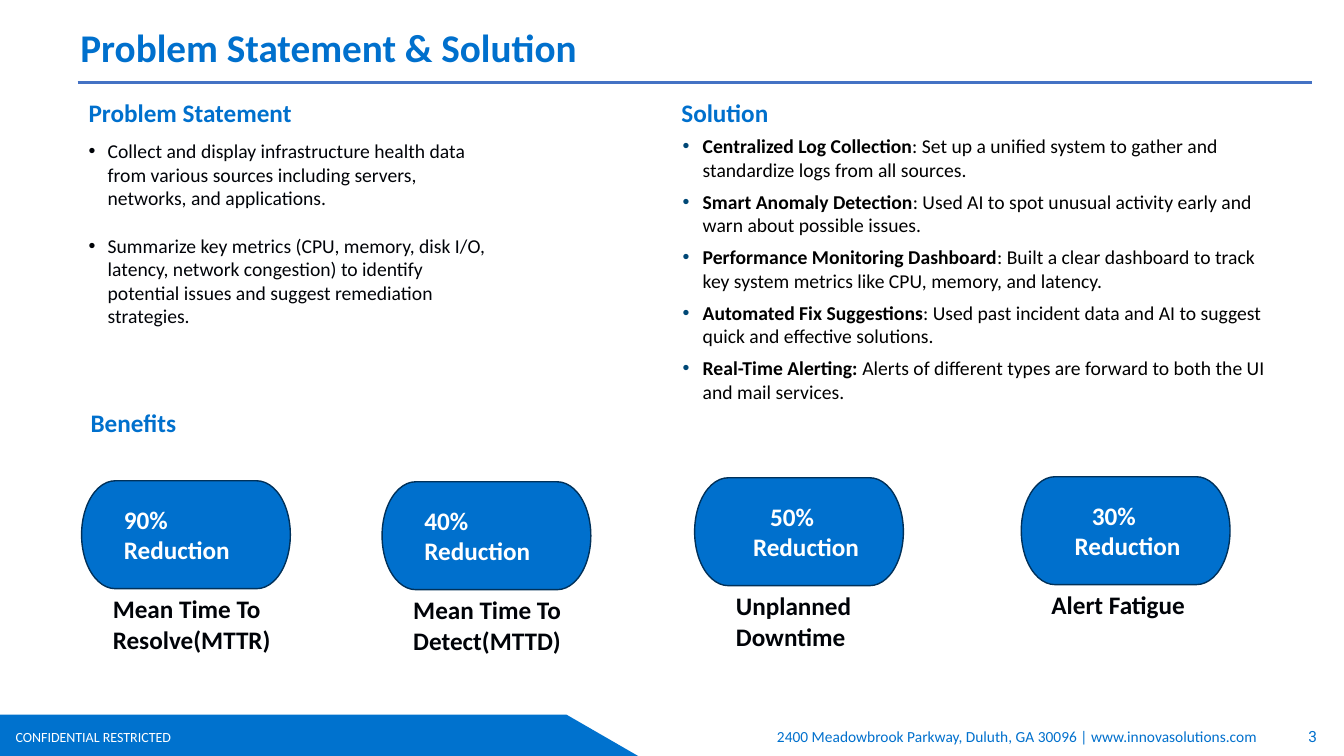
from dataclasses import dataclass

from lxml.etree import SubElement
from pptx import Presentation
from pptx.dml.color import RGBColor
from pptx.enum.shapes import MSO_CONNECTOR, MSO_SHAPE
from pptx.enum.text import MSO_ANCHOR, PP_ALIGN
from pptx.oxml.ns import qn
from pptx.slide import Slide
from pptx.text.text import TextFrame, _Paragraph, _Run
from pptx.util import Inches, Pt


@dataclass(frozen=True)
class Theme:
    font: str = "Calibri"
    number_font: str = "Roboto"
    blue: str = "0070CD"
    banner: str = "0072CE"
    outline: str = "00315A"
    rule: str = "4472C4"
    bullet: str = "004876"
    ink: str = "000308"
    black: str = "000000"
    white: str = "FFFFFF"
    title: int = 28
    heading: int = 18
    body: int = 14
    footer: int = 11
    notice: int = 10


THEME = Theme()


@dataclass(frozen=True)
class Box:
    left: float
    top: float
    width: float
    height: float


@dataclass(frozen=True)
class Style:
    size: int
    color: str
    bold: bool = False
    font: str = THEME.font
    align: PP_ALIGN = PP_ALIGN.LEFT


@dataclass(frozen=True)
class Label:
    text: str
    box: Box
    style: Style


@dataclass(frozen=True)
class Benefit:
    value: str
    caption: str
    left: float
    top: float
    value_offset: float
    caption_offset: float
    value_indent: float = 0


@dataclass(frozen=True)
class Feature:
    name: str
    description: str


HEADING = Style(THEME.heading, THEME.blue, True)
CAPTION = Style(THEME.heading, THEME.ink, True)
VALUE = Style(THEME.heading, THEME.white, True)
BODY = Style(THEME.body, THEME.ink)
FEATURE_NAME = Style(THEME.body, THEME.black, True)
FEATURE_TEXT = Style(THEME.body, THEME.black)

LABELS = [
    Label("2400 Meadowbrook Parkway, Duluth, GA 30096 | www.innovasolutions.com",
          Box(7.22, 7.16, 5.35, 0.29),
          Style(THEME.footer, THEME.blue, align=PP_ALIGN.RIGHT)),
    Label("CONFIDENTIAL RESTRICTED", Box(0.03, 7.18, 1.79, 0.27),
          Style(THEME.notice, THEME.white, align=PP_ALIGN.CENTER)),
    Label("Problem Statement & Solution", Box(0.7, 0.18, 6.67, 0.57),
          Style(THEME.title, THEME.blue, True)),
    Label("Problem Statement", Box(0.78, 0.92, 3, 0.4), HEADING),
    Label("Solution", Box(6.66, 0.92, 3, 0.4), HEADING),
    Label("Benefits", Box(0.8, 3.99, 1.3, 0.4), HEADING),
]
PROBLEMS = [
    "Collect and display infrastructure health data from various sources "
    "including servers, networks, and applications.",
    "Summarize key metrics (CPU, memory, disk I/O, latency, network congestion) "
    "to identify potential issues and suggest remediation strategies.",
]
FEATURES = [
    Feature("Centralized Log Collection",
            ": Set up a unified system to gather and standardize logs from all sources."),
    Feature("Smart Anomaly Detection",
            ": Used AI to spot unusual activity early and warn about possible issues."),
    Feature("Performance Monitoring Dashboard",
            ": Built a clear dashboard to track key system metrics like CPU, memory, and latency."),
    Feature("Automated Fix Suggestions",
            ": Used past incident data and AI to suggest quick and effective solutions."),
    Feature("Real-Time Alerting: ",
            "Alerts of different types are forward to both the UI and mail services."),
]
BENEFITS = [
    Benefit("90%", "Mean Time To Resolve(MTTR)", 0.81, 4.77, 0.32, 0.21),
    Benefit("40%", "Mean Time To Detect(MTTD)", 3.79, 4.78, 0.32, 0.21),
    Benefit("50%", "Unplanned Downtime", 6.89, 4.74, 0.48, 0.31, 0.17),
    Benefit("30%", "Alert Fatigue", 10.13, 4.73, 0.43, 0.2, 0.17),
]


def color(value: str) -> RGBColor:
    return RGBColor.from_string(value)


def format_run(run: _Run, style: Style) -> None:
    run.font.name = style.font
    run.font.size = Pt(style.size)
    run.font.bold = style.bold
    run.font.color.rgb = color(style.color)


def add_text(slide: Slide, text: str, box: Box, style: Style) -> TextFrame:
    shape = slide.shapes.add_textbox(
        Inches(box.left), Inches(box.top), Inches(box.width), Inches(box.height))
    text_frame = shape.text_frame
    text_frame.word_wrap = True
    text_frame.text = text
    for paragraph in text_frame.paragraphs:
        paragraph.alignment = style.align
        for run in paragraph.runs:
            format_run(run, style)
    return text_frame


def add_bullet(paragraph: _Paragraph, indent: float, bullet_color: str) -> None:
    properties = paragraph._p.get_or_add_pPr()
    properties.set("marL", str(Inches(indent)))
    properties.set("indent", str(-Inches(indent)))
    holder = SubElement(properties, qn("a:buClr"))
    SubElement(holder, qn("a:srgbClr")).set("val", bullet_color)
    SubElement(properties, qn("a:buFont")).set("typeface", "Arial")
    SubElement(properties, qn("a:buChar")).set("char", "•")


def add_banner(slide: Slide) -> None:
    builder = slide.shapes.build_freeform(Inches(6.33), Inches(7.5))
    corners = [(0, 7.5), (0, 7.09), (5.62, 7.09)]
    builder.add_line_segments([(Inches(x), Inches(y)) for x, y in corners])
    banner = builder.convert_to_shape()
    banner.shadow.inherit = False
    banner.fill.solid()
    banner.fill.fore_color.rgb = color(THEME.banner)
    banner.line.fill.background()


def add_title_rule(slide: Slide) -> None:
    rule = slide.shapes.add_connector(
        MSO_CONNECTOR.STRAIGHT, Inches(0.77), Inches(0.82), Inches(13.01), Inches(0.82))
    rule.line.color.rgb = color(THEME.rule)
    rule.line.width = Pt(2.25)
    SubElement(rule._element.spPr, qn("a:effectLst"))


def add_problems(slide: Slide) -> None:
    text_frame = add_text(slide, "\n".join(PROBLEMS), Box(0.78, 1.33, 4.26, 2.22), BODY)
    for paragraph in text_frame.paragraphs:
        add_bullet(paragraph, 0.19, THEME.ink)
    text_frame.paragraphs[0].space_after = Pt(17)


def add_features(slide: Slide) -> None:
    names = "\n".join(feature.name for feature in FEATURES)
    text_frame = add_text(slide, names, Box(6.77, 1.33, 5.86, 2.66), FEATURE_NAME)
    text_frame.margin_left = text_frame.margin_right = 0
    text_frame.margin_top = text_frame.margin_bottom = 0
    for paragraph, feature in zip(text_frame.paragraphs, FEATURES):
        add_bullet(paragraph, 0.2, THEME.bullet)
        paragraph.space_after = Pt(6)
        run = paragraph.add_run()
        run.text = feature.description
        format_run(run, FEATURE_TEXT)


def add_benefit(slide: Slide, benefit: Benefit) -> None:
    pill = slide.shapes.add_shape(
        MSO_SHAPE.FLOWCHART_TERMINATOR, Inches(benefit.left), Inches(benefit.top),
        Inches(2.07), Inches(1.07))
    pill.shadow.inherit = False
    pill.fill.solid()
    pill.fill.fore_color.rgb = color(THEME.blue)
    pill.line.color.rgb = color(THEME.outline)
    pill.line.width = Pt(1)
    add_text(slide, benefit.caption,
             Box(benefit.left + benefit.caption_offset, benefit.top + 1.07, 1.98, 0.71), CAPTION)
    value = add_text(slide, f"{benefit.value}\nReduction",
                     Box(benefit.left + benefit.value_offset, benefit.top + 0.18, 1.98, 0.71), VALUE)
    properties = value.paragraphs[0]._p.get_or_add_pPr()
    properties.set("marL", str(Inches(benefit.value_indent)))


def main() -> None:
    presentation = Presentation()
    presentation.slide_width = Inches(13.33)
    presentation.slide_height = Inches(7.5)
    slide = presentation.slides.add_slide(presentation.slide_layouts[6])
    add_banner(slide)
    for label in LABELS:
        add_text(slide, label.text, label.box, label.style)
    number = add_text(slide, "3", Box(12.72, 7.1, 0.6, 0.41), Style(
        THEME.footer, THEME.blue, font=THEME.number_font, align=PP_ALIGN.CENTER))
    number.vertical_anchor = MSO_ANCHOR.MIDDLE
    add_title_rule(slide)
    add_problems(slide)
    add_features(slide)
    for benefit in BENEFITS:
        add_benefit(slide, benefit)
    presentation.save("out.pptx")


if __name__ == "__main__":
    main()
